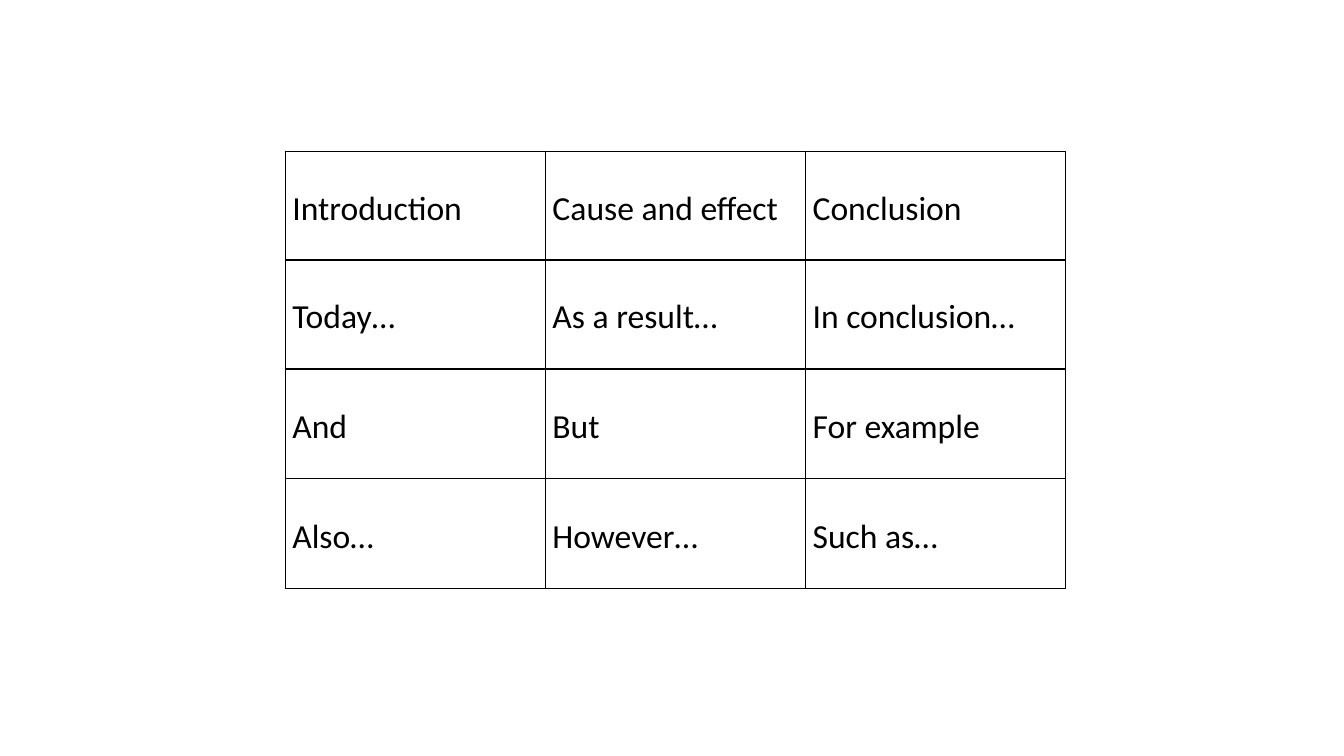
"""Build a slide with a table of linking phrases for writing."""
from dataclasses import dataclass

from lxml import etree
from pptx import Presentation
from pptx import util as u
from pptx.dml import color
from pptx.enum import text
from pptx.oxml import ns

BLACK = "000000"
COL_WIDTH = u.Inches(2.58)
CELL_FORMAT = {
    "margin_left": u.Inches(0.07),
    "margin_right": u.Inches(0.07),
    "margin_top": u.Inches(0),
    "margin_bottom": u.Inches(0),
    "vertical_anchor": text.MSO_ANCHOR.MIDDLE,
}
FONT_FORMAT = {"name": "Calibri", "size": u.Pt(24), "bold": False}


@dataclass(frozen=True)
class PhraseRow:
    height: float
    phrases: tuple[str, ...]


ROWS = (
    PhraseRow(1.08, ("Introduction", "Cause and effect", "Conclusion")),
    PhraseRow(1.08, ("Today…", "As a result…", "In conclusion…")),
    PhraseRow(1.09, ("And", "But", "For example")),
    PhraseRow(1.09, ("Also…", "However…", "Such as…")),
)


def rgb(value: str) -> color.RGBColor:
    """Turn a hex string into a colour."""
    return color.RGBColor.from_string(value)


def apply(target: object, values: dict) -> None:
    """Set each attribute on the target."""
    for name, value in values.items():
        setattr(target, name, value)


def add_borders(cell, width: u.Length, hex_color: str) -> None:
    """Draw a solid line on all four sides of a cell."""
    tc_pr = cell._tc.get_or_add_tcPr()
    for side in ("lnL", "lnR", "lnT", "lnB"):
        ln = etree.SubElement(tc_pr, ns.qn(f"a:{side}"), w=str(int(width)))
        fill = etree.SubElement(ln, ns.qn("a:solidFill"))
        etree.SubElement(fill, ns.qn("a:srgbClr"), val=hex_color)


def fill_cell(cell, phrase: str) -> None:
    """Write and format one phrase."""
    apply(cell, CELL_FORMAT)
    add_borders(cell, u.Pt(1), BLACK)
    cell.fill.background()
    p = cell.text_frame.paragraphs[0]
    p.line_spacing = 1.15
    r = p.add_run()
    r.text = phrase
    apply(r.font, FONT_FORMAT)
    r.font.color.rgb = rgb(BLACK)


def add_phrase_table(s, rows: tuple[PhraseRow, ...]) -> None:
    """Add the table of phrases to the slide."""
    n_cols = len(rows[0].phrases)
    height = u.Inches(sum(row.height for row in rows))
    table = s.shapes.add_table(
        len(rows), n_cols, u.Inches(2.83), u.Inches(1.5), COL_WIDTH * n_cols, height
    ).table
    apply(table, {"first_row": False, "horz_banding": False})
    for column in table.columns:
        column.width = COL_WIDTH
    for i, row in enumerate(rows):
        table.rows[i].height = u.Inches(row.height)
        for j, phrase in enumerate(row.phrases):
            fill_cell(table.cell(i, j), phrase)


def main() -> None:
    """Create and save the presentation."""
    prs = Presentation()
    apply(prs, {"slide_width": u.Inches(13.33), "slide_height": u.Inches(7.5)})
    s = prs.slides.add_slide(prs.slide_layouts[6])
    add_phrase_table(s, ROWS)
    prs.save("out.pptx")


if __name__ == "__main__":
    main()
